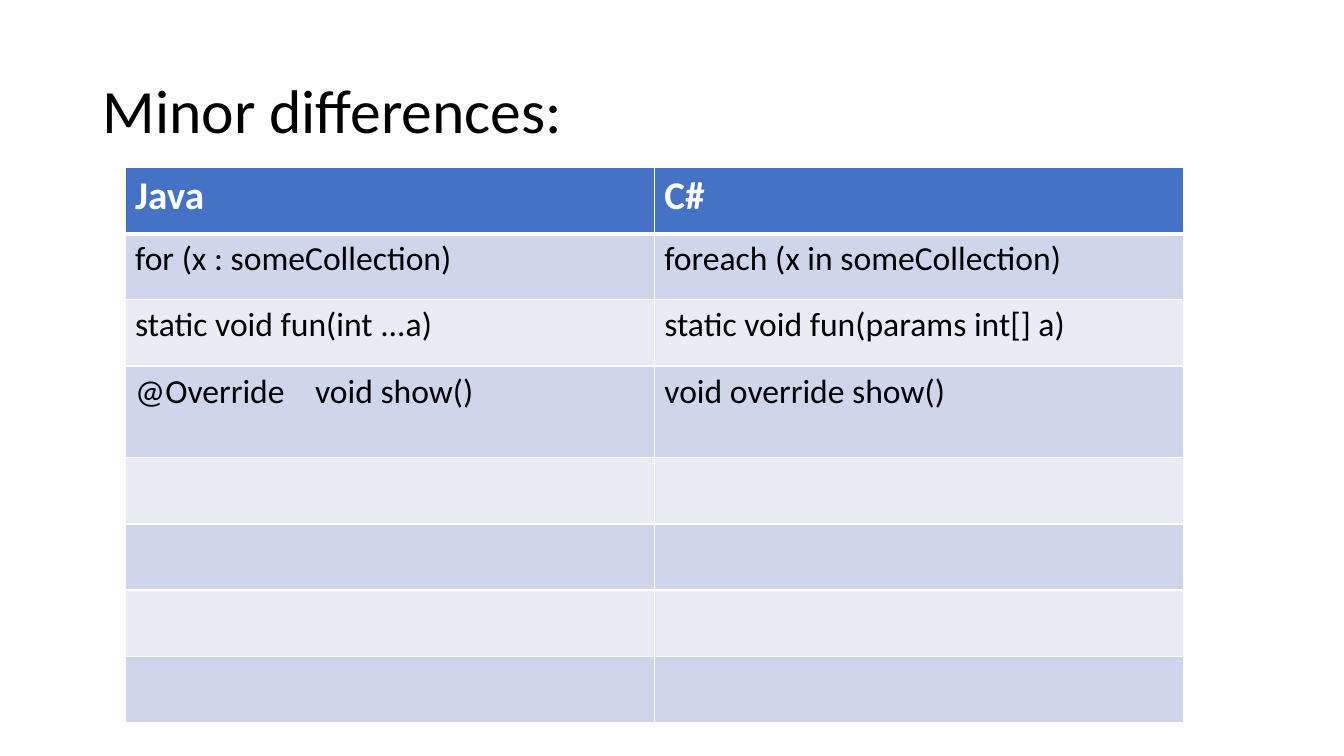
import lxml.etree
import pptx
import pptx.dml.color
import pptx.enum.text
import pptx.oxml.ns
import pptx.util

COLUMNS, ROWS = 160, 90
ROW_HEIGHT, TALL_ROW_HEIGHT = 7.88, 10.92
OVERRIDE_ROW = 3
COMPARISON = [
    ("Java", "C#"),
    ("for (x : someCollection)", "foreach (x in someCollection)"),
    ("static void fun(int ...a)", "static void fun(params int[] a)"),
    ("@Override\tvoid show()", "void override show()"),
] + [("", "")] * 4


def color(hex_string):
    return pptx.dml.color.RGBColor.from_string(hex_string)


def add_element(parent, tag, **attributes):
    return lxml.etree.SubElement(parent, pptx.oxml.ns.qn(tag), attributes)


class SlideBuilder:
    """Places styled elements on a grid of COLUMNS by ROWS."""

    font_name = "Calibri"
    text_color = "000000"
    light_color = "FFFFFF"
    header_fill = "4472C4"
    band_fills = ("E9EBF5", "CFD5EA")

    def __init__(self, presentation):
        self.column = presentation.slide_width / COLUMNS
        self.row = presentation.slide_height / ROWS
        self.slide = presentation.slides.add_slide(presentation.slide_layouts[5])

    def box(self, left, top, width, height):
        return (round(left * self.column), round(top * self.row),
                round(width * self.column), round(height * self.row))

    def add_run(self, paragraph, text, size, hex_string, bold=False):
        run = paragraph.add_run()
        run.text = text
        run.font.name = self.font_name
        run.font.size = pptx.util.Pt(size)
        run.font.bold = bold
        run.font.color.rgb = color(hex_string)

    def add_title(self, text, *grid_box):
        title = self.slide.shapes.title
        title.left, title.top, title.width, title.height = self.box(*grid_box)
        title.text_frame.word_wrap = True
        title.text_frame.vertical_anchor = pptx.enum.text.MSO_ANCHOR.MIDDLE
        paragraph = title.text_frame.paragraphs[0]
        paragraph.alignment = pptx.enum.text.PP_ALIGN.LEFT
        paragraph.line_spacing = 0.9
        self.add_run(paragraph, text, 44, self.text_color)

    def add_table(self, rows, heights, left, top, width):
        frame = self.slide.shapes.add_table(
            len(rows), len(rows[0]), *self.box(left, top, width, sum(heights)))
        table = frame.table
        table.horz_banding = False
        for row_index, (texts, height) in enumerate(zip(rows, heights)):
            table.rows[row_index].height = round(height * self.row)
            for column_index, text in enumerate(texts):
                self.fill_cell(table.cell(row_index, column_index), text, row_index)

    def fill_cell(self, cell, text, row_index):
        is_header = row_index == 0
        self.add_borders(cell, top=3 if row_index == 1 else 1, bottom=3 if is_header else 1)
        cell.fill.solid()
        cell.fill.fore_color.rgb = color(
            self.header_fill if is_header else self.band_fills[row_index % 2])
        if not text:
            return
        paragraph = cell.text_frame.paragraphs[0]
        if "\t" in text:
            self.add_tab_stop(paragraph, 21.4)
        if is_header:
            self.add_run(paragraph, text, 28, self.light_color, bold=True)
        else:
            self.add_run(paragraph, text, 24, self.text_color)

    def add_borders(self, cell, top, bottom):
        properties = cell._tc.get_or_add_tcPr()
        for side, points in (("L", 1), ("R", 1), ("T", top), ("B", bottom)):
            line = add_element(properties, f"a:ln{side}", w=str(pptx.util.Pt(points)))
            add_element(add_element(line, "a:solidFill"), "a:srgbClr", val=self.light_color)

    def add_tab_stop(self, paragraph, columns):
        tab_list = add_element(paragraph._p.get_or_add_pPr(), "a:tabLst")
        add_element(tab_list, "a:tab", pos=str(round(columns * self.column)), algn="l")


def main():
    presentation = pptx.Presentation()
    presentation.slide_width = pptx.util.Inches(13.33)
    presentation.slide_height = pptx.util.Inches(7.5)
    builder = SlideBuilder(presentation)
    builder.add_title("Minor differences:", 11, 4.8, 138, 17.4)
    heights = [TALL_ROW_HEIGHT if index == OVERRIDE_ROW else ROW_HEIGHT
               for index in range(len(COMPARISON))]
    builder.add_table(COMPARISON, heights, 14.9, 19.95, 126)
    presentation.save("out.pptx")


if __name__ == "__main__":
    main()
